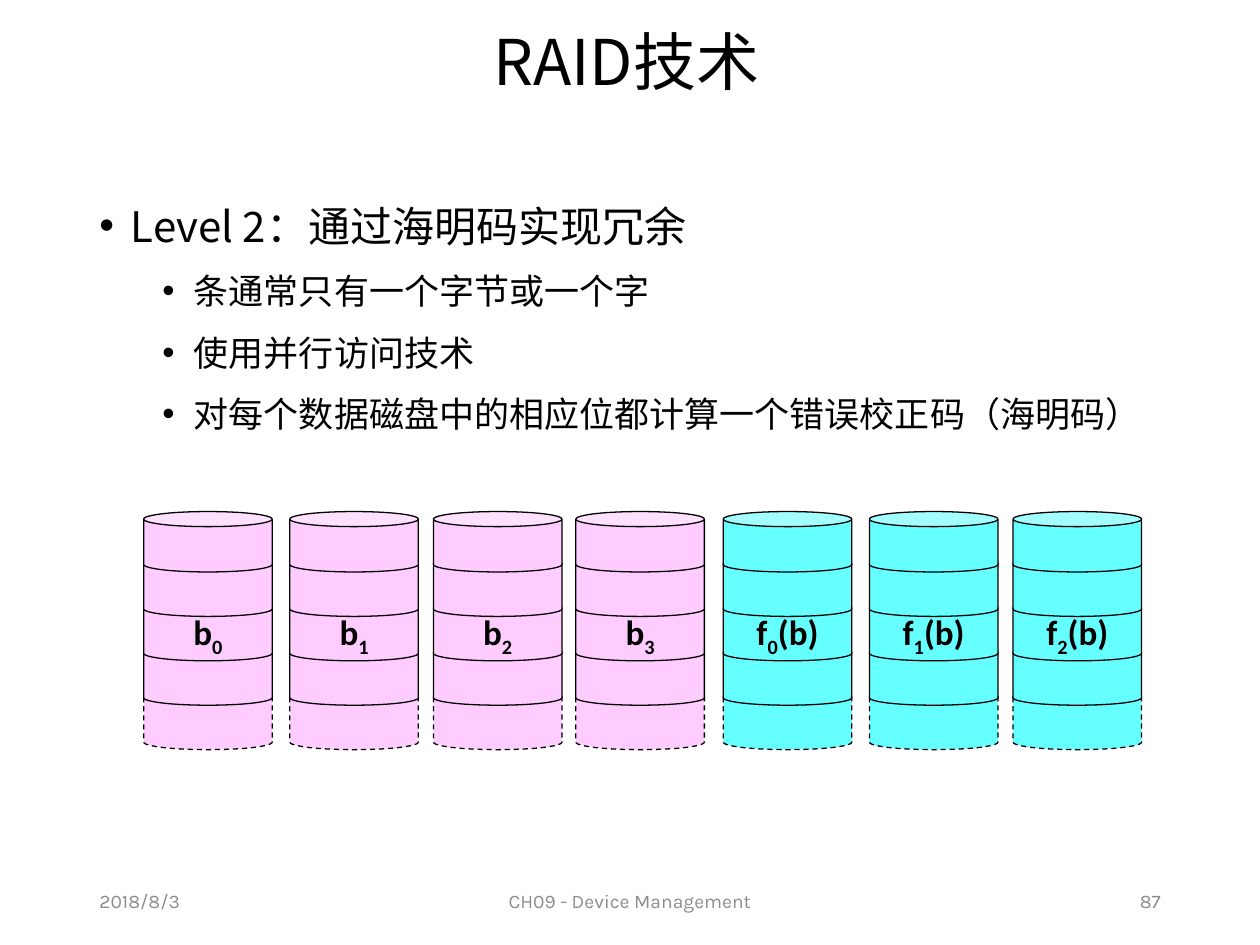
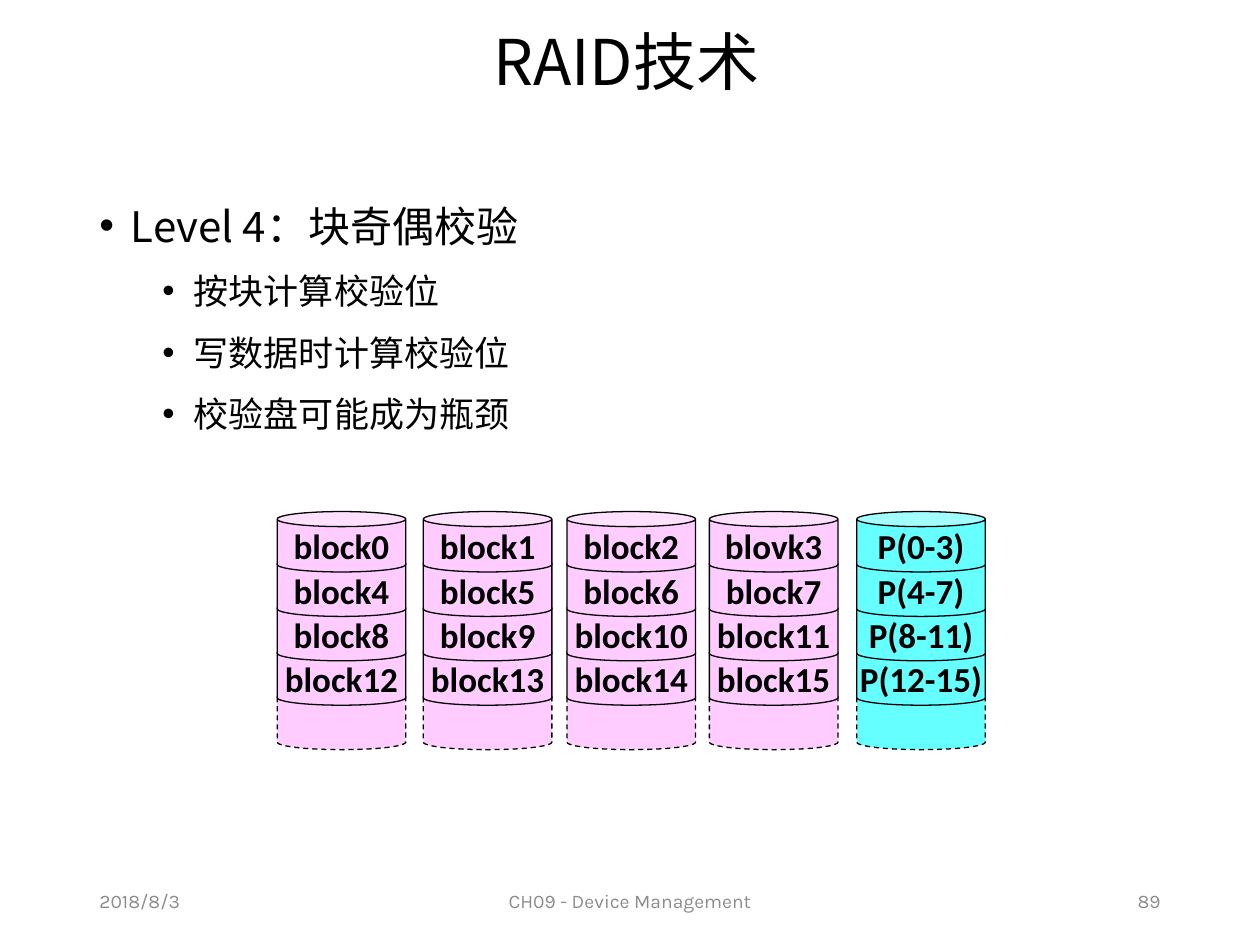
from dataclasses import dataclass

from pptx import Presentation
from pptx.dml.color import RGBColor
from pptx.enum.dml import MSO_LINE_DASH_STYLE as Dash
from pptx.enum.shapes import MSO_SHAPE as Shape
from pptx.enum.text import MSO_ANCHOR as Anchor, MSO_AUTO_SIZE as AutoSize, PP_ALIGN as Align
from pptx.oxml import parse_xml
from pptx.oxml.ns import nsdecls
from pptx.util import Inches, Pt

BLACK, GREY, PINK, CYAN = "000000", "8C8C8C", "FFCCFF", "66FFFF"
HEAD_FONT, FOOT_FONT, DISK_FONT = "Noto Sans CJK SC", "Karla", "Calibri"
DISK_OFFSETS = (0, 1.16, 2.3, 3.43, 4.6, 5.76, 6.9)
DISK_TOP, DISK_WIDTH = 4.06, 1.02
STRIP_HEIGHT, STRIP_STEP, STRIP_COUNT = 0.48, 0.3525, 5


@dataclass(frozen=True)
class Disk:
    """A disk: its colour and the label of each strip, from the top."""
    fill: str
    labels: tuple[str, ...]


@dataclass(frozen=True)
class Level:
    """The content of one RAID level slide."""
    number: int
    heading: str
    points: tuple[str, ...]
    disks_left: float
    disks: tuple[Disk, ...]


@dataclass(frozen=True)
class Footer:
    """The place and alignment of one footer field."""
    left: float
    width: float
    align: Align


FOOTERS = (Footer(0.69, 2.25, Align.LEFT), Footer(3.31, 3.38, Align.CENTER),
           Footer(7.06, 2.25, Align.RIGHT))

LEVELS = (
    Level(87, "Level 2：通过海明码实现冗余",
          ("条通常只有一个字节或一个字", "使用并行访问技术",
           "对每个数据磁盘中的相应位都计算一个错误校正码（海明码）"),
          1.14,
          tuple(Disk(PINK, ("", "", f"b_{i}")) for i in range(4))
          + tuple(Disk(CYAN, ("", "", f"f_{i}_(b)")) for i in range(3))),
    Level(89, "Level 4：块奇偶校验",
          ("按块计算校验位", "写数据时计算校验位", "校验盘可能成为瓶颈"),
          2.2,
          (Disk(PINK, ("block0", "block4", "block8", "block12")),
           Disk(PINK, ("block1", "block5", "block9", "block13")),
           Disk(PINK, ("block2", "block6", "block10", "block14")),
           Disk(PINK, ("blovk3", "block7", "block11", "block15")),
           Disk(CYAN, ("P(0-3)", "P(4-7)", "P(8-11)", "P(12-15)")))),
)


def rgb(color: str) -> RGBColor:
    """Turn a hex string into a colour."""
    return RGBColor.from_string(color)


def add_run(p, text: str, size: float, font: str, color: str = BLACK, bold: bool = False):
    """Add a formatted run for Latin and East Asian text."""
    r = p.add_run()
    r.text = text
    r.font.size = Pt(size)
    r.font.bold = bold
    r.font.name = font
    r.font.color.rgb = rgb(color)
    r.font._element.append(parse_xml(f'<a:ea {nsdecls("a")} typeface="{font}"/>'))
    return r


def add_box(slide, left: float, top: float, width: float, height: float, anchor: Anchor):
    """Add a wrapping text box and return its text frame."""
    tf = slide.shapes.add_textbox(Inches(left), Inches(top), Inches(width), Inches(height)).text_frame
    tf.word_wrap = True
    tf.vertical_anchor = anchor
    return tf


def add_title(slide) -> None:
    """Place and fill the title."""
    sp = slide.shapes.title
    sp.left, sp.top, sp.width, sp.height = (Inches(v) for v in (0.66, 0.14, 8.62, 0.76))
    tf = sp.text_frame
    tf.auto_size = AutoSize.NONE
    tf.vertical_anchor = Anchor.MIDDLE
    p = tf.paragraphs[0]
    p.alignment = Align.CENTER
    p.line_spacing = 0.9
    add_run(p, "RAID技术", 36, HEAD_FONT)


def add_bullet(p, text: str, level: int) -> None:
    """Write a bulleted line at a given level."""
    pPr = p._p.get_or_add_pPr()
    pPr.set("marL", str(Inches(0.25 + 0.5 * level)))
    pPr.set("indent", str(-Inches(0.25)))
    pPr.append(parse_xml(f'<a:buFont {nsdecls("a")} typeface="Arial"/>'))
    pPr.append(parse_xml(f'<a:buChar {nsdecls("a")} char="•"/>'))
    p.level = level
    p.line_spacing = 1.25
    p.space_before = Pt(5 * level)
    add_run(p, text, 24 - 4 * level, HEAD_FONT)


def add_body(slide, level: Level) -> None:
    """Add the heading and its points."""
    tf = add_box(slide, 0.69, 1.44, 8.62, 5.38, Anchor.TOP)
    add_bullet(tf.paragraphs[0], level.heading, 0)
    for point in level.points:
        add_bullet(tf.add_paragraph(), point, 1)


def add_footers(slide, number: int) -> None:
    """Add the date, chapter and slide number."""
    for footer, text in zip(FOOTERS, ("2018/8/3", "CH09 - Device Management", str(number))):
        p = add_box(slide, footer.left, 6.95, footer.width, 0.4, Anchor.MIDDLE).paragraphs[0]
        p.alignment = footer.align
        add_run(p, text, 11, FOOT_FONT, GREY)


def add_label(sp, label: str) -> None:
    """Write a strip label; every second part between underscores is a subscript."""
    tf = sp.text_frame
    tf.word_wrap = False
    tf.vertical_anchor = Anchor.MIDDLE
    tf.margin_left = tf.margin_right = tf.margin_top = tf.margin_bottom = 0
    p = tf.paragraphs[0]
    p.alignment = Align.CENTER
    for i, part in enumerate(label.split("_")):
        r = add_run(p, part, 20, DISK_FONT, bold=True)
        if i % 2:
            r.font._element.set("baseline", "-25000")


def add_disk(slide, disk: Disk, left: float) -> None:
    """Stack the strips of a disk from the bottom up."""
    group = slide.shapes.add_group_shape()
    for row in reversed(range(STRIP_COUNT)):
        sp = group.shapes.add_shape(Shape.CAN, Inches(left), Inches(DISK_TOP + row * STRIP_STEP),
                                    Inches(DISK_WIDTH), Inches(STRIP_HEIGHT))
        sp.adjustments[0] = 0.25
        sp.shadow.inherit = False
        sp.fill.solid()
        sp.fill.fore_color.rgb = rgb(disk.fill)
        sp.line.color.rgb = rgb(BLACK)
        sp.line.width = Pt(0.75)
        if row == STRIP_COUNT - 1:
            sp.line.dash_style = Dash.DASH
        if row < len(disk.labels) and disk.labels[row]:
            add_label(sp, disk.labels[row])


def add_level(prs, level: Level) -> None:
    """Build the slide of one RAID level."""
    slide = prs.slides.add_slide(prs.slide_layouts[5])
    add_title(slide)
    add_body(slide, level)
    add_footers(slide, level.number)
    for disk, offset in zip(level.disks, DISK_OFFSETS):
        add_disk(slide, disk, level.disks_left + offset)


def main() -> None:
    """Build and save the presentation."""
    prs = Presentation()
    prs.slide_width, prs.slide_height = Inches(10), Inches(7.5)
    for level in LEVELS:
        add_level(prs, level)
    prs.save("out.pptx")


if __name__ == "__main__":
    main()
